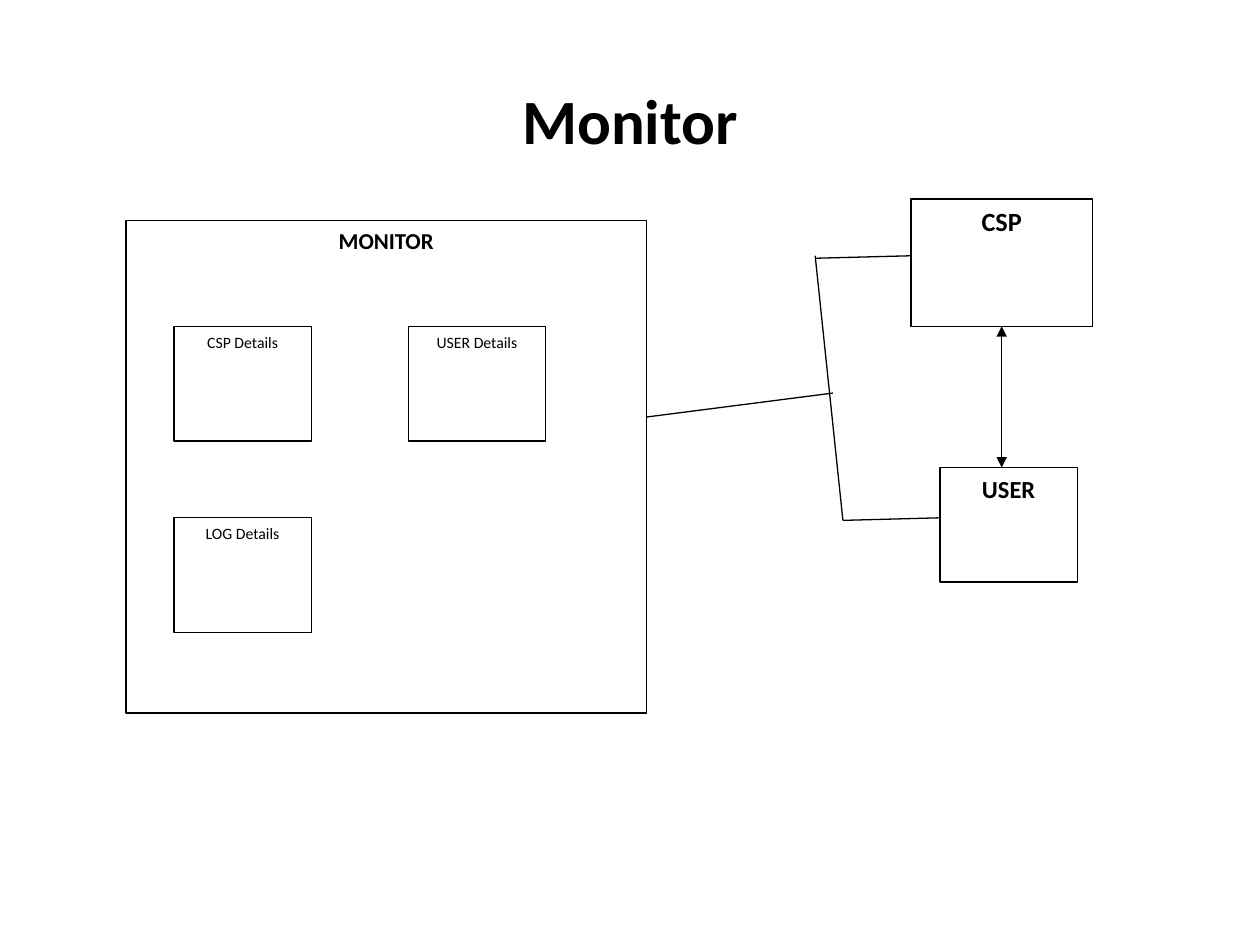
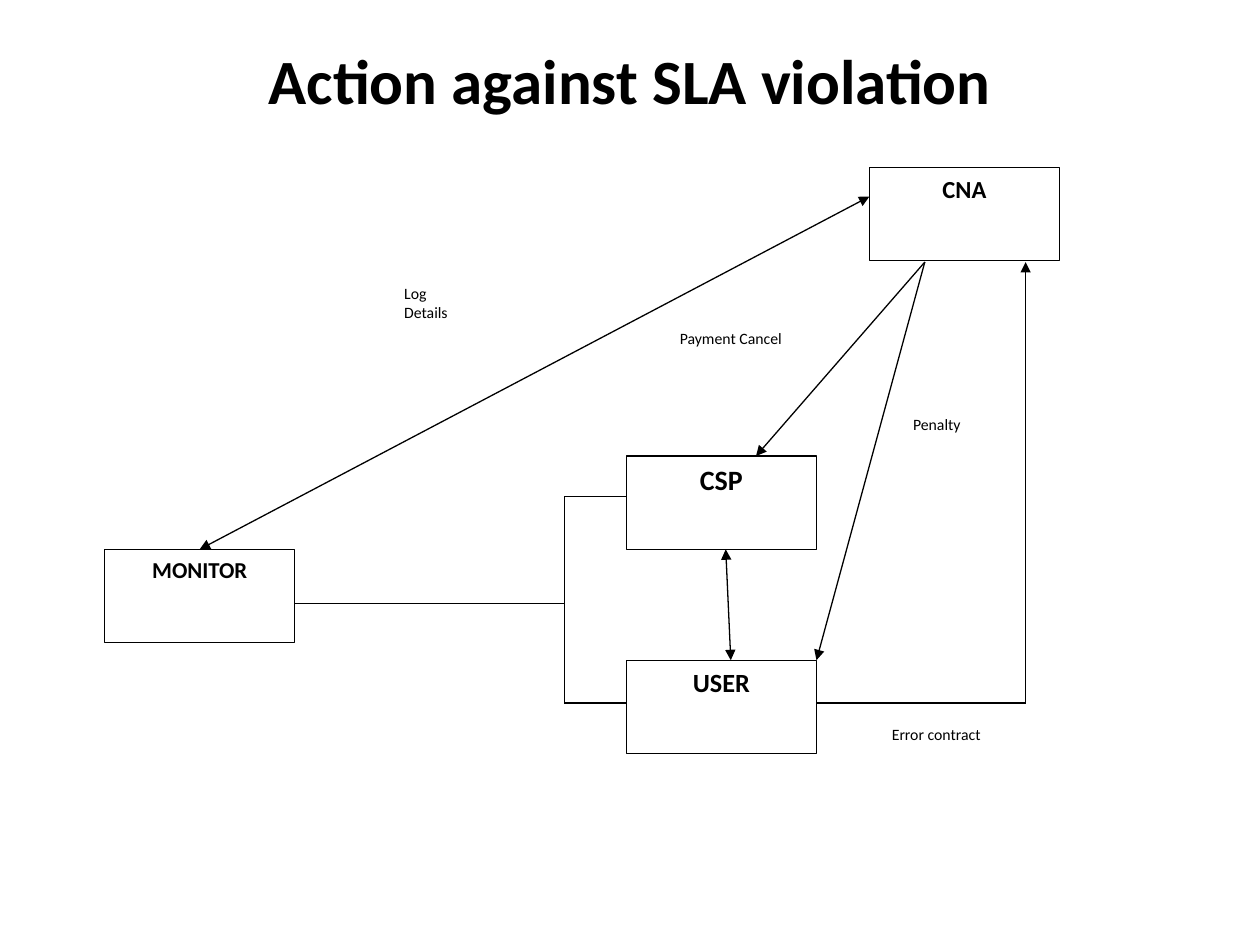
"""Build two diagram slides on monitoring and on the action against SLA violation."""
from dataclasses import dataclass

from lxml import etree
from pptx import Presentation
from pptx.dml.color import RGBColor
from pptx.enum.shapes import MSO_CONNECTOR, MSO_SHAPE
from pptx.enum.text import MSO_ANCHOR, MSO_AUTO_SIZE, PP_ALIGN
from pptx.oxml.ns import qn
from pptx.util import Inches, Pt

RECTANGLE = MSO_SHAPE.RECTANGLE
STRAIGHT = MSO_CONNECTOR.STRAIGHT
TOP, MIDDLE = MSO_ANCHOR.TOP, MSO_ANCHOR.MIDDLE
LEFT, CENTER = PP_ALIGN.LEFT, PP_ALIGN.CENTER
NO_AUTOFIT = MSO_AUTO_SIZE.NONE
TITLE_ONLY = 5
TOP_SIDE, BOTTOM_SIDE = 0, 2


@dataclass(frozen=True)
class Theme:
    ink: RGBColor = RGBColor(0, 0, 0)
    paper: RGBColor = RGBColor(255, 255, 255)
    font: str = "Calibri"
    title_size: float = 36
    label_size: float = 9
    line_width: float = 0.75


theme = Theme()


def write(owner, text, size, bold, align, frame_format):
    """Put one formatted paragraph into a shape or placeholder."""
    frame = owner.text_frame
    frame.text = text
    for name, value in frame_format.items():
        setattr(frame, name, value)
    paragraph = frame.paragraphs[0]
    paragraph.alignment = align
    font_format = {"name": theme.font, "size": Pt(size), "bold": bold}
    for name, value in font_format.items():
        setattr(paragraph.font, name, value)
    paragraph.font.color.rgb = theme.ink
    return paragraph


detail_width, detail_height = 1.09, 0.91
detail_left, detail_top = 1.38, 2.59
detail_step_x, detail_step_y = 1.86, 1.52
detail_cells = [("CSP Details", 0, 0), ("USER Details", 1, 0), ("LOG Details", 0, 1)]
details = [
    (text, detail_left + column * detail_step_x, detail_top + row * detail_step_y,
     detail_width, detail_height, CENTER)
    for text, column, row in detail_cells
]

party_width, party_height = 1.51, 0.74
party_places = [
    ("USER", 4.97, 5.24, 15),
    ("CSP", 4.97, 3.62, 16),
    ("CNA", 6.9, 1.33, 14),
    ("MONITOR", 0.83, 4.36, 13),
]
bus_x, csp_y, user_y, monitor_y = 4.48, 3.94, 5.58, 4.79
cna_bottom = 2.08

slides = [
    {
        "title": "Monitor",
        "title_insets": (0.1, 0.05),
        "parties": [
            ("MONITOR", 1, 1.75, 4.13, 3.91, 13),
            ("CSP", 7.23, 1.58, 1.44, 1.01, 15),
            ("USER", 7.46, 3.71, detail_width, detail_height, 14),
        ],
        "labels": details,
        "label_outline": theme.ink,
        "links": [
            (7.95, 2.59, 7.95, 3.71, "both", ("CSP", BOTTOM_SIDE), None),
            (7.23, 2.03, 6.47, 2.05, "", None, None),
            (7.45, 4.11, 6.69, 4.13, "", None, None),
            (6.47, 2.03, 6.69, 4.13, "", None, None),
            (5.13, 3.31, 6.61, 3.12, "", None, None),
        ],
    },
    {
        "title": "Action against SLA violation",
        "title_insets": (0.05, 0.64),
        "parties": [
            (text, left, top, party_width, party_height, size)
            for text, left, top, size in party_places
        ],
        "labels": [
            ("Log Details", 3.11, 2.2, 0.74, 0.65, LEFT),
            ("Error contract", 6.9, 5.7, 1.06, 0.64, CENTER),
            ("Penalty", 7.08, 3.24, 0.71, 0.38, CENTER),
            ("Payment Cancel", 5.27, 2.56, 1.06, 0.64, CENTER),
        ],
        "label_outline": theme.paper,
        "links": [
            (4.97, csp_y, bus_x, csp_y, "", None, None),
            (bus_x, csp_y, bus_x, user_y, "", None, None),
            (4.97, user_y, bus_x, user_y, "", None, None),
            (bus_x, monitor_y, 2.34, monitor_y, "", None, None),
            (5.76, 4.36, 5.8, 5.24, "both", None, None),
            (6.9, 1.56, 1.59, 4.36, "both", None, ("MONITOR", TOP_SIDE)),
            (6.48, user_y, 8.14, user_y, "", None, None),
            (8.14, user_y, 8.14, cna_bottom, "end", None, None),
            (7.34, cna_bottom, 6, 3.62, "end", None, None),
            (7.34, cna_bottom, 6.48, 5.24, "end", None, None),
        ],
    },
]
arrow_ends = {"": (), "end": ("a:tailEnd",), "both": ("a:headEnd", "a:tailEnd")}

deck = Presentation()
deck.slide_width, deck.slide_height = Inches(10), Inches(7.5)

for content in slides:
    slide = deck.slides.add_slide(deck.slide_layouts[TITLE_ONLY])
    heading = slide.shapes.title
    heading_place = {"left": 0.5, "top": 0.3, "width": 9, "height": 1.25}
    for side, length in heading_place.items():
        setattr(heading, side, Inches(length))
    inset_top, inset_bottom = content["title_insets"]
    write(heading, content["title"], theme.title_size, True, CENTER, {
        "word_wrap": True, "auto_size": NO_AUTOFIT, "vertical_anchor": MIDDLE,
        "margin_top": Inches(inset_top), "margin_bottom": Inches(inset_bottom),
    })

    boxes = [(*place, size, True, CENTER, theme.ink)
             for *place, size in content["parties"]]
    boxes += [(*place, theme.label_size, False, align, content["label_outline"])
              for *place, align in content["labels"]]
    drawn = {}
    for text, left, top, width, height, size, bold, align, outline in boxes:
        box = slide.shapes.add_shape(
            RECTANGLE, Inches(left), Inches(top), Inches(width), Inches(height))
        box.shadow.inherit = False
        box.fill.solid()
        box.fill.fore_color.rgb = theme.paper
        box.line.color.rgb = outline
        box.line.width = Pt(theme.line_width)
        caption = write(box, text, size, bold, align,
                        {"word_wrap": True, "vertical_anchor": TOP})
        caption.space_after = Pt(10)
        drawn[text] = box

    for x1, y1, x2, y2, arrows, start, finish in content["links"]:
        link = slide.shapes.add_connector(
            STRAIGHT, Inches(x1), Inches(y1), Inches(x2), Inches(y2))
        if start:
            link.begin_connect(drawn[start[0]], start[1])
        if finish:
            link.end_connect(drawn[finish[0]], finish[1])
        link.line.color.rgb = theme.ink
        link.line.width = Pt(theme.line_width)
        stroke = link.line._get_or_add_ln()
        for tag in arrow_ends[arrows]:
            etree.SubElement(stroke, qn(tag), type="triangle")
        etree.SubElement(link._element.spPr, qn("a:effectLst"))

deck.save("out.pptx")
